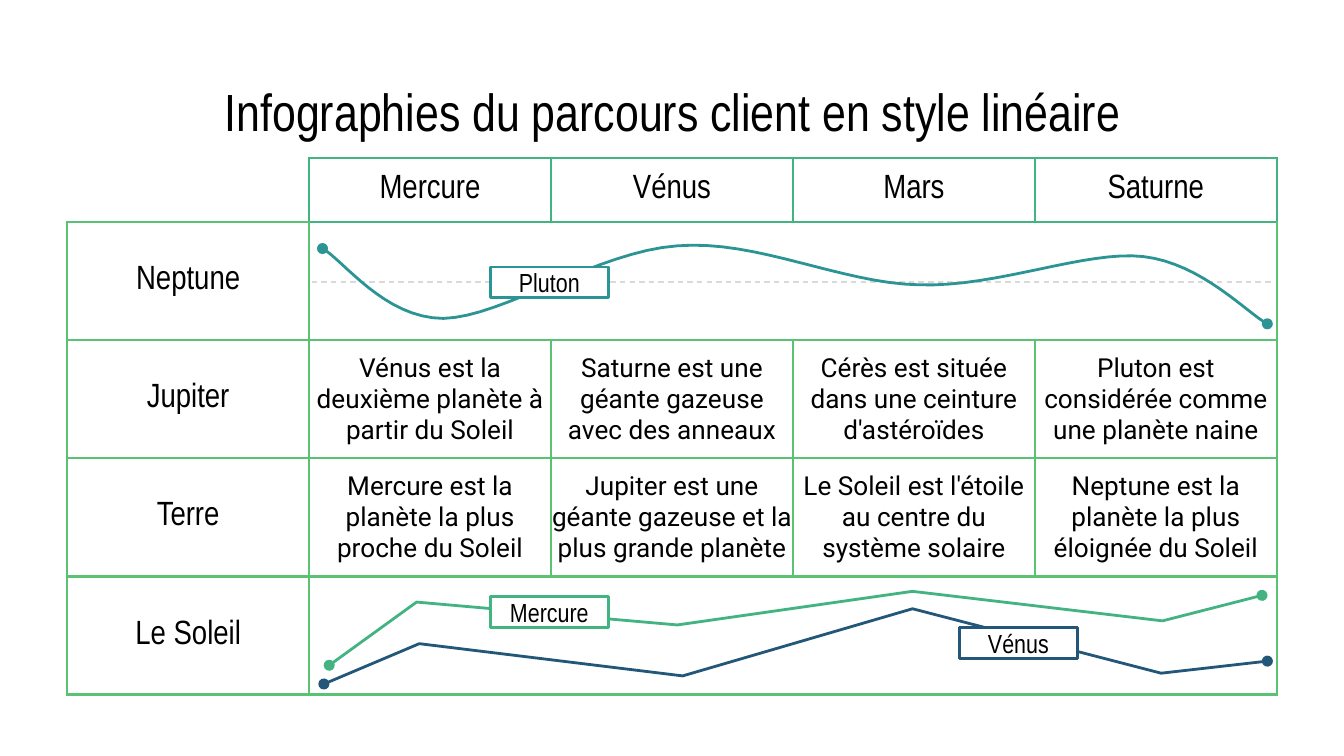
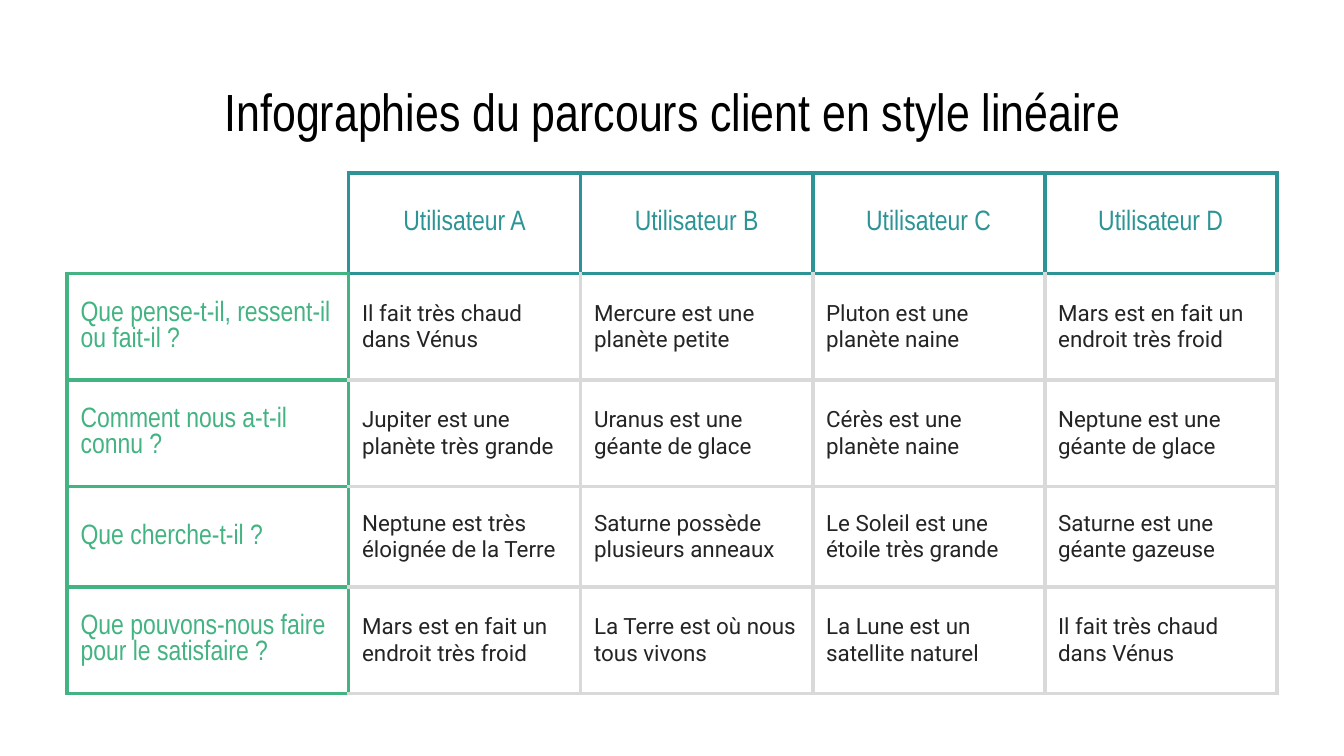
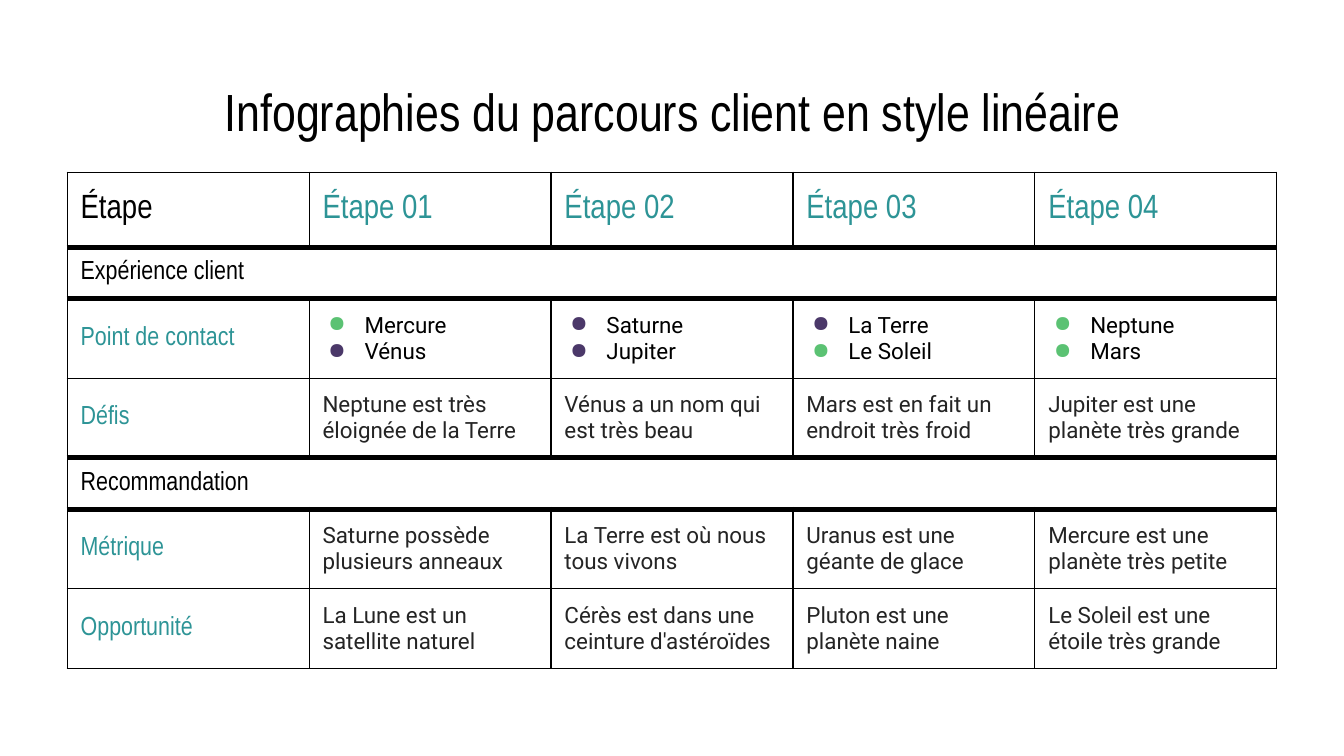
from itertools import product

from lxml.etree import SubElement
from pptx import Presentation
from pptx.dml.color import RGBColor
from pptx.enum.dml import MSO_LINE
from pptx.enum.shapes import MSO_CONNECTOR, MSO_SHAPE
from pptx.enum.text import MSO_ANCHOR, PP_ALIGN
from pptx.oxml.ns import qn
from pptx.util import Pt

# Shared look
BLACK = RGBColor(0x00, 0x00, 0x00)
WHITE = RGBColor(0xFF, 0xFF, 0xFF)
INK = RGBColor(0x24, 0x24, 0x24)
GREY = RGBColor(0xD9, 0xD9, 0xD9)
LIGHT_GREEN = RGBColor(0x5B, 0xC2, 0x73)
GREEN = RGBColor(0x43, 0xB3, 0x82)
TEAL = RGBColor(0x2D, 0x94, 0x96)
NAVY = RGBColor(0x22, 0x57, 0x7A)
PURPLE = RGBColor(0x4B, 0x38, 0x69)
HEADING_FONT = "Arial Narrow"
BODY_FONT = "Roboto"
TITLE = "Infographies du parcours client en style linéaire"
LEFT = 36
INSET = 7.2
SIDES = {"left": "a:lnL", "right": "a:lnR", "top": "a:lnT", "bottom": "a:lnB"}


def write_text(frame, text, font=HEADING_FONT, size=14, color=BLACK,
               align=PP_ALIGN.LEFT, bullets=()):
    """Write one paragraph per line; bullets holds one colour per line."""
    frame.word_wrap = True
    frame.text = text
    for paragraph in frame.paragraphs:
        paragraph.alignment = align
        run_font = paragraph.runs[0].font
        run_font.name = font
        run_font.size = Pt(size)
        run_font.color.rgb = color
    for paragraph, bullet_color in zip(frame.paragraphs, bullets):
        add_bullet(paragraph, bullet_color)


def add_bullet(paragraph, color):
    properties = paragraph._p.get_or_add_pPr()
    properties.set("marL", str(Pt(22.5)))
    properties.set("indent", str(-Pt(19.5)))
    bullet_color = SubElement(properties, qn("a:buClr"))
    SubElement(bullet_color, qn("a:srgbClr"), val=str(color))
    SubElement(properties, qn("a:buChar"), char="●")


def set_insets(target, inset):
    target.margin_left = target.margin_right = Pt(inset)
    target.margin_top = target.margin_bottom = Pt(inset)


def add_titled_slide(presentation):
    slide = presentation.slides.add_slide(presentation.slide_layouts[5])
    title = slide.shapes.title
    title.left, title.top, title.width, title.height = Pt(LEFT), Pt(35), Pt(648), Pt(45)
    set_insets(title.text_frame, INSET)
    title.text_frame.vertical_anchor = MSO_ANCHOR.TOP
    write_text(title.text_frame, TITLE, size=28, align=PP_ALIGN.CENTER)
    return slide


# Tables
def add_plain_table(slide, top, widths, heights):
    frame = slide.shapes.add_table(len(heights), len(widths), Pt(LEFT), Pt(top),
                                   Pt(sum(widths)), Pt(sum(heights)))
    table = frame.table
    table.first_row = table.horz_banding = False
    for column, width in zip(table.columns, widths):
        column.width = Pt(width)
    for row, height in zip(table.rows, heights):
        row.height = Pt(height)
    for cell in table.iter_cells():
        cell.fill.background()
    return table


def fill_cell(cell, text, inset=INSET, **text_format):
    set_insets(cell, inset)
    cell.vertical_anchor = MSO_ANCHOR.MIDDLE
    write_text(cell.text_frame, text, **text_format)


def set_borders(cell, **borders):
    """Draw the named sides, each given as (colour, width) or None."""
    properties = cell._tc.get_or_add_tcPr()
    position = 0
    for side, tag in SIDES.items():
        if not borders.get(side):
            continue
        color, width = borders[side]
        line = SubElement(properties, qn(tag), w=str(Pt(width)))
        fill = SubElement(line, qn("a:solidFill"))
        SubElement(fill, qn("a:srgbClr"), val=str(color))
        properties.insert(position, line)
        position += 1


def box_cell(cell, border, **exceptions):
    set_borders(cell, **{**dict.fromkeys(SIDES, border), **exceptions})


# Lines and labels
def add_path(slide, points, color):
    scaled = [(Pt(x * 72), Pt(y * 72)) for x, y in points]
    builder = slide.shapes.build_freeform(*scaled[0])
    builder.add_line_segments(scaled[1:], close=False)
    path = builder.convert_to_shape()
    path.shadow.inherit = False
    path.fill.background()
    path.line.color.rgb = color
    path.line.width = Pt(1.5)
    line = path.line._get_or_add_ln()
    for end in ("a:headEnd", "a:tailEnd"):
        SubElement(line, qn(end), type="oval")


def smooth_points(start, curves, steps=16):
    """Sample a chain of cubic curves (control, control, end)."""
    points = [start]
    for first, second, end in curves:
        begin = points[-1]
        for step in range(1, steps + 1):
            t = step / steps
            weights = ((1 - t) ** 3, 3 * t * (1 - t) ** 2, 3 * t * t * (1 - t), t ** 3)
            corners = (begin, first, second, end)
            points.append(tuple(sum(w * corner[axis] for w, corner in zip(weights, corners))
                                for axis in (0, 1)))
    return points


def add_label(slide, text, left, top, color):
    label = slide.shapes.add_shape(MSO_SHAPE.RECTANGLE, Pt(left), Pt(top), Pt(63), Pt(16.5))
    label.shadow.inherit = False
    label.fill.solid()
    label.fill.fore_color.rgb = WHITE
    label.line.color.rgb = color
    label.line.width = Pt(1.5)
    set_insets(label.text_frame, INSET)
    label.text_frame.vertical_anchor = MSO_ANCHOR.MIDDLE
    write_text(label.text_frame, text, align=PP_ALIGN.CENTER)


def add_dashed_line(slide, left, right, y):
    line = slide.shapes.add_connector(MSO_CONNECTOR.STRAIGHT, Pt(left), Pt(y), Pt(right), Pt(y))
    line.line.color.rgb = GREY
    line.line.width = Pt(0.75)
    line.line.dash_style = MSO_LINE.DASH
    SubElement(line._element.spPr, qn("a:effectLst"))


# Slides
def build_planet_slide(presentation):
    slide = add_titled_slide(presentation)
    rows = [
        ["", "Mercure", "Vénus", "Mars", "Saturne"],
        ["Neptune"],
        ["Jupiter", "Vénus est la deuxième planète à partir du Soleil",
         "Saturne est une géante gazeuse avec des anneaux",
         "Cérès est située dans une ceinture d'astéroïdes",
         "Pluton est considérée comme une planète naine"],
        ["Terre", "Mercure est la planète la plus proche du Soleil",
         "Jupiter est une géante gazeuse et la plus grande planète",
         "Le Soleil est l'étoile au centre du système solaire",
         "Neptune est la planète la plus éloignée du Soleil"],
        ["Le Soleil"],
    ]
    table = add_plain_table(slide, 84.5, [129.6] * 5, [34.4] + [63.3] * 4)
    outer, header = (LIGHT_GREEN, 1.5), (GREEN, 1.5)
    for r, texts in enumerate(rows):
        for c, text in enumerate(texts):
            if text:
                is_heading = r == 0 or c == 0
                fill_cell(table.cell(r, c), text, inset=0, align=PP_ALIGN.CENTER,
                          font=HEADING_FONT if is_heading else BODY_FONT,
                          size=18 if is_heading else 14)
    for r, c in product(range(5), range(5)):
        cell = table.cell(r, c)
        if r == 0 and c == 0:
            set_borders(cell, right=header, bottom=outer)
        elif r == 0:
            box_cell(cell, header)
        else:
            box_cell(cell, outer, top=header if r == 1 and c else outer)
    for r in (1, 4):
        table.cell(r, 1).merge(table.cell(r, 4))

    # Journey lines over the merged rows
    add_dashed_line(slide, 167, 682.5, 151.2)
    add_path(slide, smooth_points((2.4, 1.85), [
        ((2.55, 1.93), (2.86, 2.37), (3.3, 2.37)),
        ((3.74, 2.36), (4.45, 1.87), (5.04, 1.83)),
        ((5.63, 1.78), (6.26, 2.11), (6.84, 2.12)),
        ((7.42, 2.14), (8.08, 1.86), (8.51, 1.91)),
        ((8.94, 1.96), (9.28, 2.33), (9.43, 2.41)),
    ]), TEAL)
    add_path(slide, [(2.41, 5.09), (3.12, 4.79), (5.08, 5.03),
                     (6.79, 4.53), (8.64, 5.01), (9.43, 4.92)], NAVY)
    add_path(slide, [(2.45, 4.95), (3.1, 4.48), (5.04, 4.65),
                     (6.79, 4.4), (8.65, 4.62), (9.39, 4.43)], GREEN)
    add_label(slide, "Mercure", 262.8, 319.7, GREEN)
    add_label(slide, "Vénus", 514.1, 336.2, NAVY)
    add_label(slide, "Pluton", 262.8, 143.1, TEAL)


def build_user_slide(presentation):
    slide = add_titled_slide(presentation)
    rows = [
        ["", "Utilisateur A", "Utilisateur B", "Utilisateur C", "Utilisateur D"],
        ["Que pense-t-il, ressent-il ou fait-il ?", "Il fait très chaud dans Vénus",
         "Mercure est une planète petite", "Pluton est une planète naine",
         "Mars est en fait un endroit très froid"],
        ["Comment nous a-t-il connu ?", "Jupiter est une planète très grande",
         "Uranus est une géante de glace", "Cérès est une planète naine",
         "Neptune est une géante de glace"],
        ["Que cherche-t-il ?", "Neptune est très éloignée de la Terre",
         "Saturne possède plusieurs anneaux", "Le Soleil est une étoile très grande",
         "Saturne est une géante gazeuse"],
        ["Que pouvons-nous faire pour le satisfaire ?",
         "Mars est en fait un endroit très froid", "La Terre est où nous tous vivons",
         "La Lune est un satellite naturel", "Il fait très chaud dans Vénus"],
    ]
    table = add_plain_table(slide, 92.6, [150.8] + [124.3] * 4, [54, 57, 57, 54, 57])
    users, questions, answers = (TEAL, 2.25), (GREEN, 2.25), (GREY, 2.25)
    for r, texts in enumerate(rows):
        for c, text in enumerate(texts):
            cell = table.cell(r, c)
            if not text:
                set_borders(cell, right=users, bottom=questions)
            elif r == 0:
                fill_cell(cell, text, size=15, color=TEAL, align=PP_ALIGN.CENTER)
                box_cell(cell, users)
            elif c == 0:
                fill_cell(cell, text, size=15, color=GREEN)
                box_cell(cell, questions)
            else:
                fill_cell(cell, text, font=BODY_FONT, size=12, color=INK)
                box_cell(cell, answers, left=questions if c == 1 else answers,
                         top=users if r == 1 else answers)


def build_stage_slide(presentation):
    slide = add_titled_slide(presentation)
    rows = [
        ["Étape"] + [f"Étape {number:02}" for number in range(1, 5)],
        ["Expérience client"],
        ["Point de contact", "Mercure\nVénus", "Saturne\nJupiter",
         "La Terre\nLe Soleil", "Neptune\nMars"],
        ["Défis", "Neptune est très éloignée de la Terre",
         "Vénus a un nom qui est très beau", "Mars est en fait un endroit très froid",
         "Jupiter est une planète très grande"],
        ["Recommandation"],
        ["Métrique", "Saturne possède plusieurs anneaux",
         "La Terre est où nous tous vivons", "Uranus est une géante de glace",
         "Mercure est une planète très petite"],
        ["Opportunité", "La Lune est un satellite naturel",
         "Cérès est dans une ceinture d'astéroïdes", "Pluton est une planète naine",
         "Le Soleil est une étoile très grande"],
    ]
    contact_bullets = [(LIGHT_GREEN, PURPLE), (PURPLE, PURPLE),
                       (PURPLE, LIGHT_GREEN), (LIGHT_GREEN, LIGHT_GREEN)]
    contact_row, section_rows = 2, (1, 4)
    table = add_plain_table(slide, 92.2, [129.6] * 5, [40.3, 20.9, 40.3, 40.3, 23, 40.3, 40.3])
    thin, thick = (BLACK, 0.75), (BLACK, 3)
    for r, texts in enumerate(rows):
        for c, text in enumerate(texts):
            cell = table.cell(r, c)
            if r == 0:
                fill_cell(cell, text, size=18, color=TEAL if c else BLACK)
            elif c == 0:
                fill_cell(cell, text, color=BLACK if r in section_rows else TEAL)
            elif r == contact_row:
                fill_cell(cell, text, font=BODY_FONT, size=12,
                          bullets=contact_bullets[c - 1])
            else:
                fill_cell(cell, text, font=BODY_FONT, size=12, color=INK)
    # Thick rules above and below each section row
    for r, c in product(range(len(rows)), range(5)):
        is_section = r in section_rows
        box_cell(table.cell(r, c), thin,
                 top=thick if is_section or r - 1 in section_rows else thin,
                 bottom=thick if is_section or r + 1 in section_rows else thin)
    for r in section_rows:
        table.cell(r, 0).merge(table.cell(r, 4))


def main():
    presentation = Presentation()
    presentation.slide_width, presentation.slide_height = Pt(720), Pt(405)
    build_planet_slide(presentation)
    build_user_slide(presentation)
    build_stage_slide(presentation)
    presentation.save("out.pptx")


if __name__ == "__main__":
    main()
